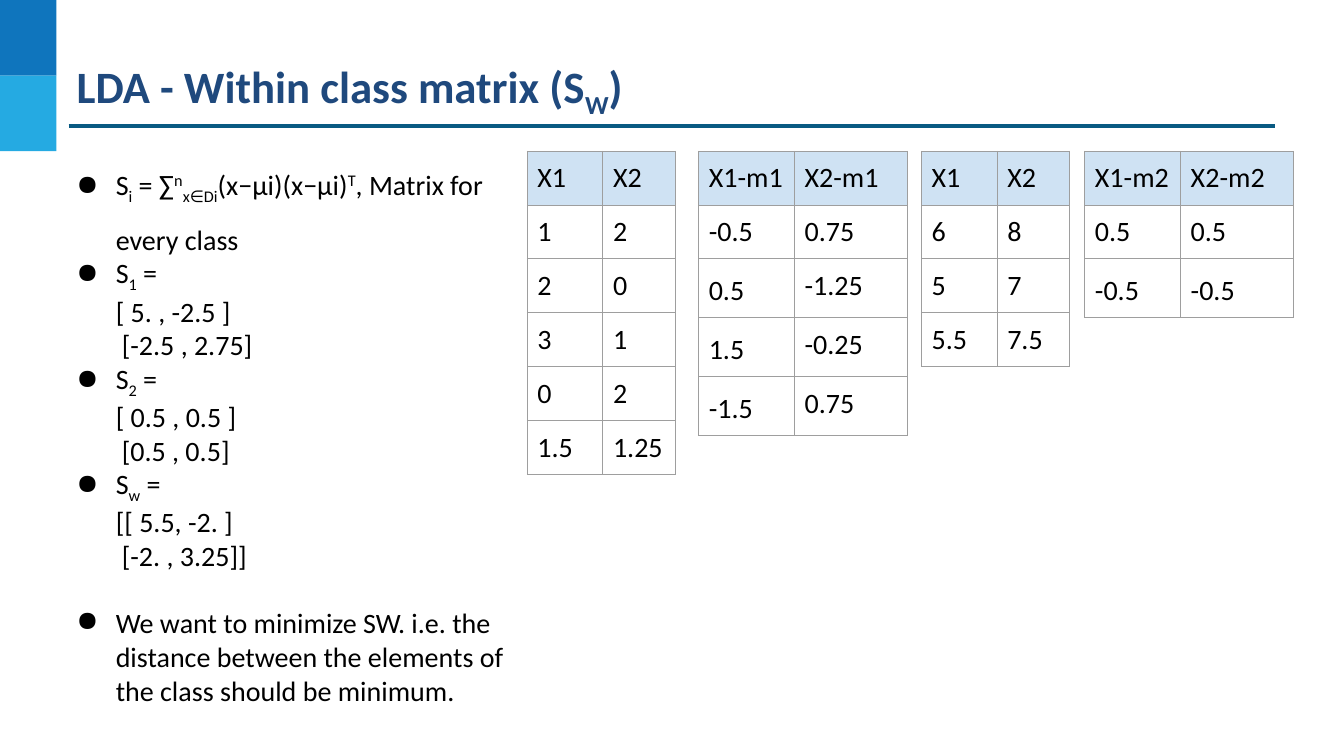
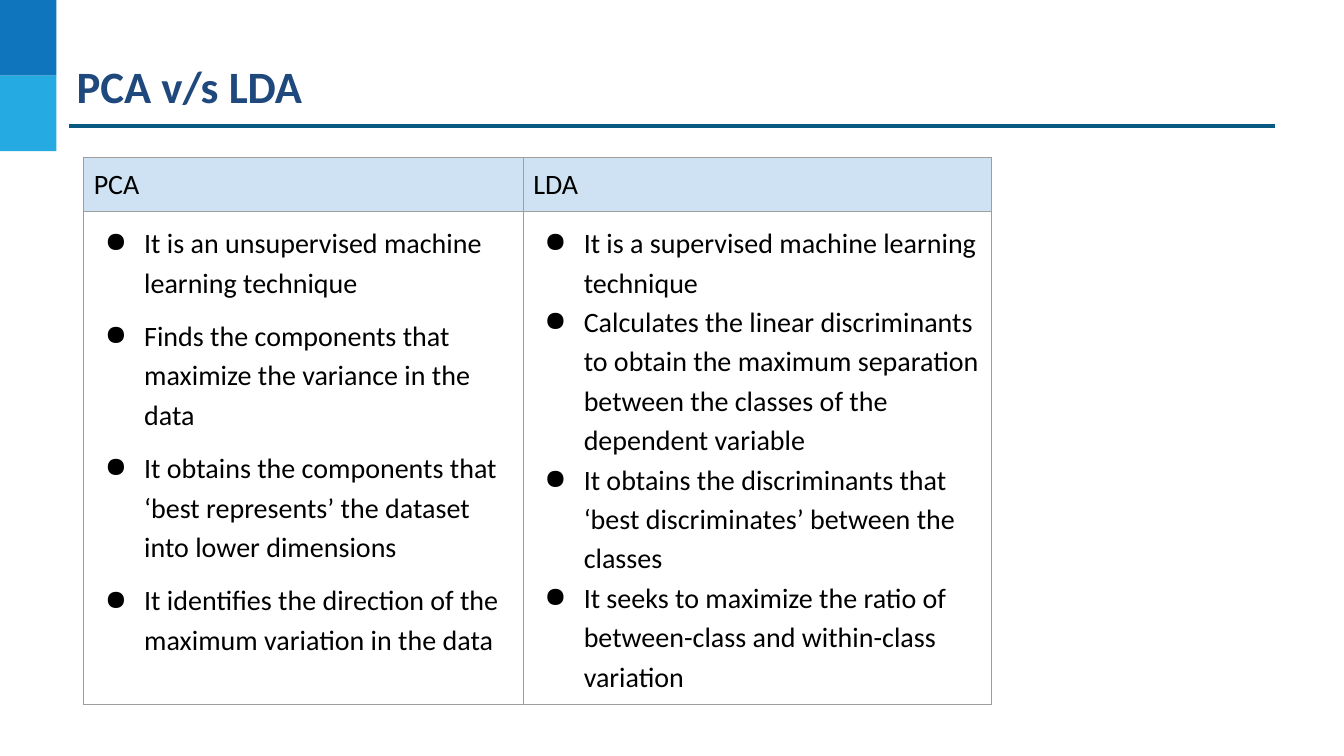
from lxml import etree
from pptx import Presentation
from pptx.dml.color import RGBColor
from pptx.enum.shapes import MSO_CONNECTOR, MSO_SHAPE
from pptx.enum.text import MSO_ANCHOR, MSO_AUTO_SIZE, PP_ALIGN
from pptx.oxml.ns import qn
from pptx.util import Inches, Pt

DARK_BLUE = RGBColor(0x0F, 0x75, 0xBD)
LIGHT_BLUE = RGBColor(0x25, 0xAA, 0xE2)
RULE_BLUE = RGBColor(0x09, 0x5A, 0x82)
TITLE_BLUE = RGBColor(0x1F, 0x49, 0x7D)
HEADER_BLUE = RGBColor(0xCF, 0xE2, 0xF3)
BORDER_GREY = RGBColor(0x9E, 0x9E, 0x9E)
BLACK = RGBColor(0, 0, 0)
FONT = "Calibri"
SUB, SUPER = -25000, 30000
ROW_HEIGHT = 0.53


def write_paragraph(paragraph, runs, size=20, color=BLACK, bold=False,
                    indent=0, bullet=False, line_spacing=None):
    """Fill a paragraph from a string or a list of strings and (text, baseline) pairs."""
    properties = paragraph._p.get_or_add_pPr()
    properties.set("marL", str(Inches(indent)))
    properties.set("indent", str(Inches(-0.39 if bullet else 0)))
    if bullet:
        etree.SubElement(properties, qn("a:buChar"), char="●")
    else:
        etree.SubElement(properties, qn("a:buNone"))
    paragraph.alignment = PP_ALIGN.LEFT
    paragraph.line_spacing = line_spacing
    font = paragraph.font
    font.name, font.size, font.bold = FONT, Pt(size), bold
    font.color.rgb = color
    for piece in [runs] if isinstance(runs, str) else runs:
        text, baseline = (piece, 0) if isinstance(piece, str) else piece
        run = paragraph.add_run()
        run.text = text
        if baseline:
            run._r.get_or_add_rPr().set("baseline", str(baseline))


def add_grid(slide, left, top, widths, heights, rows, loose_cells=()):
    """Add a bordered table; a cell given as a list holds bullets."""
    table = slide.shapes.add_table(
        len(rows), len(widths), Inches(left), Inches(top),
        Inches(sum(widths)), Inches(sum(heights))).table
    for column, width in zip(table.columns, widths):
        column.width = Inches(width)
    for row_index, (row, height) in enumerate(zip(rows, heights)):
        table.rows[row_index].height = Inches(height)
        for column_index, content in enumerate(row):
            cell = table.cell(row_index, column_index)
            cell.margin_left = cell.margin_right = Inches(0.1)
            cell.margin_top = cell.margin_bottom = Inches(0.1)
            cell_properties = cell._tc.get_or_add_tcPr()
            for side in ("lnL", "lnR", "lnT", "lnB"):
                border = etree.SubElement(
                    cell_properties, qn(f"a:{side}"), w=str(Pt(0.75)))
                fill = etree.SubElement(border, qn("a:solidFill"))
                etree.SubElement(fill, qn("a:srgbClr"), val=str(BORDER_GREY))
            if row_index == 0:
                cell.fill.solid()
                cell.fill.fore_color.rgb = HEADER_BLUE
            else:
                cell.fill.background()
            frame = cell.text_frame
            if isinstance(content, str):
                loose = (row_index, column_index) in loose_cells
                write_paragraph(frame.paragraphs[0], content,
                                line_spacing=1.15 if loose else None)
                continue
            space_before = PCA_SPACING if column_index == 0 else 0
            for index, text in enumerate(content):
                paragraph = frame.add_paragraph() if index else frame.paragraphs[0]
                write_paragraph(paragraph, text, indent=0.5, bullet=True,
                                line_spacing=1.15)
                if index and space_before:
                    paragraph.space_before = Pt(space_before)


PCA_SPACING = 10

presentation = Presentation()
presentation.slide_width = Inches(13.33)
presentation.slide_height = Inches(7.5)

# Title, corner bands and rule on every slide
titles = [["LDA - Within class matrix (S", ("W", SUB), ")"], "PCA v/s LDA"]
slides = []
for title_runs in titles:
    slide = presentation.slides.add_slide(presentation.slide_layouts[5])
    slides.append(slide)
    for index, color in enumerate((DARK_BLUE, LIGHT_BLUE)):
        band = slide.shapes.add_shape(
            MSO_SHAPE.RECTANGLE, 0, Inches(0.75 * index), Inches(0.56), Inches(0.75))
        band.shadow.inherit = False
        band.fill.solid()
        band.fill.fore_color.rgb = color
        band.line.fill.background()
    rule = slide.shapes.add_connector(
        MSO_CONNECTOR.STRAIGHT, Inches(0.68), Inches(1.25), Inches(12.65), Inches(1.25))
    rule.line.color.rgb = RULE_BLUE
    rule.line.width = Pt(2.25)
    etree.SubElement(rule._element.spPr, qn("a:effectLst"))

    title = slide.shapes.title
    title.left, title.top = Inches(0.74), Inches(0.56)
    title.width, title.height = Inches(11.97), Inches(0.58)
    frame = title.text_frame
    frame.auto_size = MSO_AUTO_SIZE.NONE
    frame.vertical_anchor = MSO_ANCHOR.TOP
    frame.margin_left = frame.margin_right = Inches(0.02)
    frame.margin_top = frame.margin_bottom = Inches(0.02)
    write_paragraph(frame.paragraphs[0], title_runs, size=32, color=TITLE_BLUE, bold=True)

matrix_slide, comparison_slide = slides

# Scatter matrices: (runs, indent, bullet)
matrix_lines = [
    (["S", ("i", SUB), " = ∑", ("n", SUPER), ("x∈Di", SUB), "(x−µi)(x−µi)",
      ("T", SUPER), ", Matrix for every class"], 0.5, True),
    (["S", ("1", SUB), " ="], 0.5, True),
    ("[ 5. , -2.5 ]", 0.5, False),
    ("[-2.5 , 2.75]", 0.56, False),
    (["S", ("2", SUB), " ="], 0.5, True),
    ("[ 0.5 , 0.5 ]", 0.5, False),
    ("[0.5 , 0.5]", 0.56, False),
    (["S", ("w", SUB), " ="], 0.5, True),
    ("[[ 5.5, -2. ]", 0.5, False),
    ("[-2. , 3.25]]", 0.56, False),
    ("We want to minimize SW. i.e. the distance between the elements of "
     "the class should be minimum.", 0.5, True),
]
text_box = matrix_slide.shapes.add_textbox(
    Inches(0.55), Inches(1.37), Inches(4.63), Inches(5.8))
frame = text_box.text_frame
frame.word_wrap = True
frame.margin_left = frame.margin_right = Inches(0.1)
frame.margin_top = frame.margin_bottom = Inches(0.1)
for index, (runs, indent, bullet) in enumerate(matrix_lines):
    paragraph = frame.add_paragraph() if index else frame.paragraphs[0]
    write_paragraph(paragraph, runs, indent=indent, bullet=bullet,
                    line_spacing=None if index else 1.5)
paragraph.space_before = Pt(24)

# Samples of each class, and their distances from the class mean
VALUE_WIDTHS, DISTANCE_WIDTHS = (0.75, 0.72), (0.95, 1.12)
sample_tables = [
    (5.23, VALUE_WIDTHS, [("X1", "X2"), ("1", "2"), ("2", "0"), ("3", "1"),
                          ("0", "2"), ("1.5", "1.25")], ()),
    (6.93, DISTANCE_WIDTHS, [("X1-m1", "X2-m1"), ("-0.5", "0.75"), ("0.5", "-1.25"),
                             ("1.5", "-0.25"), ("-1.5", "0.75")],
     [(2, 0), (3, 0), (4, 0)]),
    (9.14, VALUE_WIDTHS, [("X1", "X2"), ("6", "8"), ("5", "7"), ("5.5", "7.5")], ()),
    (10.76, DISTANCE_WIDTHS, [("X1-m2", "X2-m2"), ("0.5", "0.5"), ("-0.5", "-0.5")],
     [(2, 0), (2, 1)]),
]
for left, widths, rows, loose_cells in sample_tables:
    add_grid(matrix_slide, left, 1.5, widths, [ROW_HEIGHT] * len(rows), rows, loose_cells)

# PCA against LDA
pca_points = [
    "It is an unsupervised machine learning technique",
    "Finds the components that maximize the variance in the data",
    "It obtains the components that ‘best represents’ the dataset into lower dimensions",
    "It identifies the direction of the maximum variation in the data",
]
lda_points = [
    "It is a supervised machine learning technique",
    "Calculates the linear discriminants to obtain the maximum separation between "
    "the classes of the dependent variable",
    "It obtains the discriminants that ‘best discriminates’ between the classes",
    "It seeks to maximize the ratio of between-class and within-class variation",
]
add_grid(comparison_slide, 0.83, 1.56, (4.36, 4.64), (ROW_HEIGHT, 4.89),
         [("PCA", "LDA"), (pca_points, lda_points)])

presentation.save("out.pptx")
